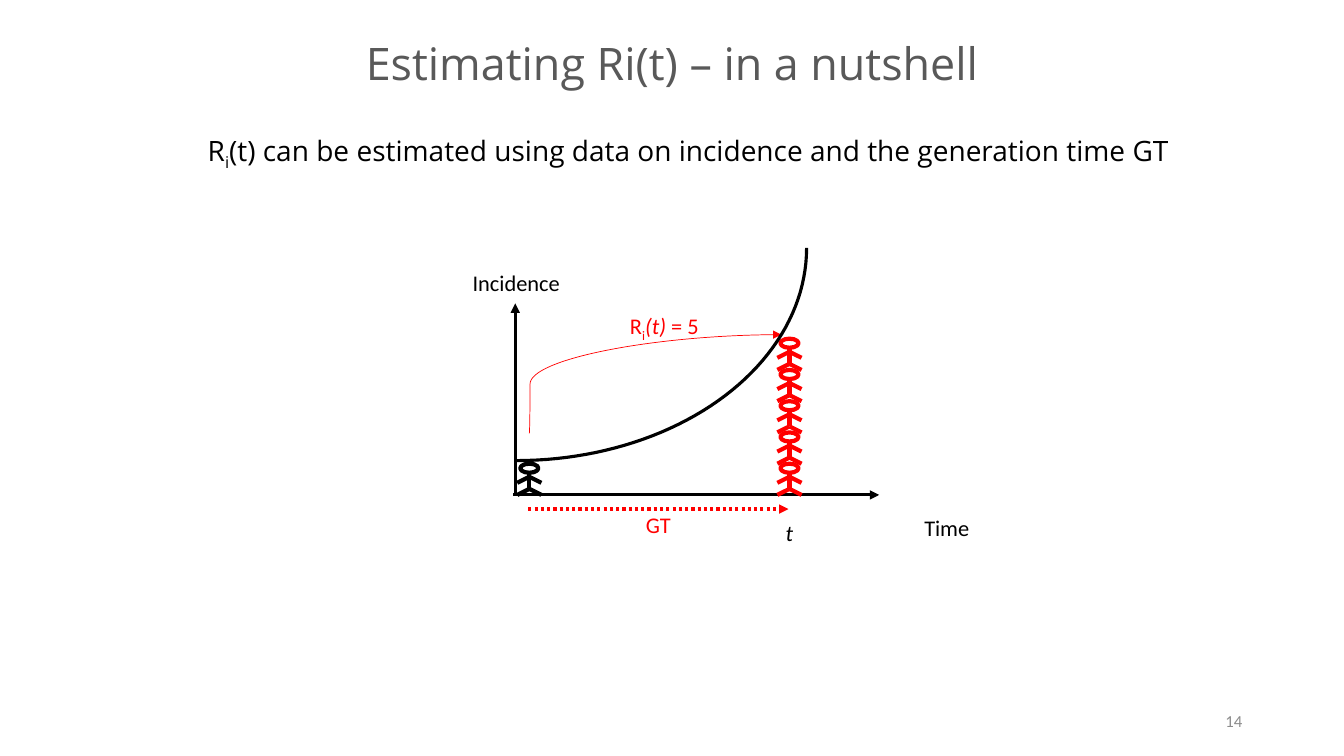
"""Build the slide on estimating Ri(t) from incidence and generation time."""
import math

from lxml import etree
from pptx import Presentation
from pptx.dml.color import RGBColor
from pptx.enum.dml import MSO_LINE
from pptx.enum.shapes import MSO_CONNECTOR, MSO_SHAPE
from pptx.enum.text import MSO_ANCHOR, MSO_AUTO_SIZE, PP_ALIGN
from pptx.oxml.ns import qn
from pptx.util import Inches, Pt

COLORS = {"black": "000000", "red": "FF0000", "title": "595959", "number": "8C8C8C"}
STRAIGHT, CURVE = MSO_CONNECTOR.STRAIGHT, MSO_CONNECTOR.CURVE
OVAL, DOTTED = MSO_SHAPE.OVAL, MSO_LINE.ROUND_DOT
LEFT, CENTER, RIGHT = PP_ALIGN.LEFT, PP_ALIGN.CENTER, PP_ALIGN.RIGHT
TOP, MIDDLE, FIXED = MSO_ANCHOR.TOP, MSO_ANCHOR.MIDDLE, MSO_AUTO_SIZE.NONE


def write(box, place, spans, font, size, color, align=CENTER, anchor=TOP, indent=0):
    """Place a box and fill its one paragraph with (text, style) spans."""
    for name, value in zip(("left", "top", "width", "height"), place):
        setattr(box, name, Inches(value))
    frame = box.text_frame
    for name, value in {"word_wrap": True, "auto_size": FIXED, "vertical_anchor": anchor}.items():
        setattr(frame, name, value)
    para = frame.paragraphs[0]
    para.alignment = align
    para.space_before = Pt(0)
    properties = para._p.get_or_add_pPr()
    properties.set("marL", str(Inches(indent)))
    properties.set("indent", "0")
    etree.SubElement(properties, qn("a:buNone"))
    for text, style in spans:
        span = para.add_run()
        span.text = text
        for name, value in {"name": font, "size": Pt(size), "italic": style == "italic"}.items():
            setattr(span.font, name, value)
        span.font.color.rgb = RGBColor.from_string(COLORS[color])
        if style == "sub":
            span._r.get_or_add_rPr().set("baseline", "-25000")


def draw_line(shapes, start, end, color, width, arrow=False, kind=STRAIGHT):
    """Add a connector without shadow, with an arrowhead at its end if wanted."""
    line = shapes.add_connector(kind, *(Inches(value) for value in start + end))
    line.line.color.rgb = RGBColor.from_string(COLORS[color])
    line.line.width = Pt(width)
    if arrow:
        etree.SubElement(line.line._get_or_add_ln(), qn("a:tailEnd")).set("type", "triangle")
    etree.SubElement(line._element.spPr, qn("a:effectLst"))
    return line


deck = Presentation()
deck.slide_width, deck.slide_height = Inches(13.33), Inches(7.5)
page = deck.slides.add_slide(deck.slide_layouts[1])
shapes = page.shapes

write(shapes.title, (2.26, 0.3, 8.82, 0.64), [("Estimating Ri(t) – in a nutshell", "")],
      "Open Sans", 32, "title", anchor=MIDDLE)
write(page.placeholders[1], (1.96, 1.27, 10.08, 0.94),
      [("R", ""), ("i", "sub"),
       ("(t) can be estimated using data on incidence and the generation time GT", "")],
      "Open Sans", 20, "black", LEFT)

draw_line(shapes, (5.11, 4.89), (5.11, 3.01), "black", 2.25, True)
draw_line(shapes, (5.09, 4.91), (8.72, 4.91), "black", 2.25, True)

people = [(5.25, 4.6, "black")] + [(7.83, 4.6 - 0.31 * step, "red") for step in range(5)]
limbs = [((0, 0.09), (0, 0.25))]
limbs += [((0, hip), (side, hip + 0.06)) for hip in (0.25, 0.13) for side in (-0.12, 0.12)]
for center, top, color in people:
    person = shapes.add_group_shape().shapes
    head = person.add_shape(OVAL, Inches(center - 0.09), Inches(top), Inches(0.18), Inches(0.09))
    head.shadow.inherit = False
    head.fill.background()
    head.line.color.rgb = RGBColor.from_string(COLORS[color])
    head.line.width = Pt(3)
    for start, end in limbs:
        draw_line(person, (center + start[0], top + start[1]),
                  (center + end[0], top + end[1]), color, 3)

generation = draw_line(shapes, (5.24, 5.05), (7.82, 5.05), "red", 2.25, True)
generation.line.dash_style = DOTTED

infection = draw_line(shapes, (5.25, 4.3), (7.75, 3.32), "red", 0.5, True, CURVE)
bend = etree.SubElement(infection._element.spPr.prstGeom.get_or_add_avLst(), qn("a:gd"))
bend.set("name", "adj1")
bend.set("fmla", "val 300")

angles = [math.radians(2 * step) for step in range(46)]
points = [(Inches(5.12 + 2.88 * math.sin(angle)), Inches(2.46 + 2.11 * math.cos(angle)))
          for angle in angles]
builder = shapes.build_freeform(*points[0])
builder.add_line_segments(points[1:], close=False)
incidence = builder.convert_to_shape()
incidence.shadow.inherit = False
incidence.fill.background()
incidence.line.color.rgb = RGBColor.from_string(COLORS["black"])
incidence.line.width = Pt(2.25)

labels = [
    ((4.47, 2.62, 1.3, 0.37), [("Incidence", "")], 16, "black", CENTER, TOP, 0),
    ((5.61, 3.05, 1.64, 0.37), [("R", ""), ("i", "sub"), ("(t)", "italic"), (" = 5", "")],
     16, "red", LEFT, TOP, 0.54),
    ((5.71, 5.02, 1.64, 0.37), [("GT", "")], 16, "red", CENTER, TOP, 0),
    ((7.18, 5.1, 1.3, 0.37), [("t", "italic")], 16, "black", CENTER, TOP, 0),
    ((8.74, 5.05, 1.3, 0.37), [("Time", "")], 16, "black", CENTER, TOP, 0),
    ((9.42, 6.95, 3, 0.4), [("14", "")], 12, "number", RIGHT, MIDDLE, 0),
]
for place, spans, *style in labels:
    write(shapes.add_textbox(0, 0, 0, 0), place, spans, "Calibri", *style)

deck.save("out.pptx")
